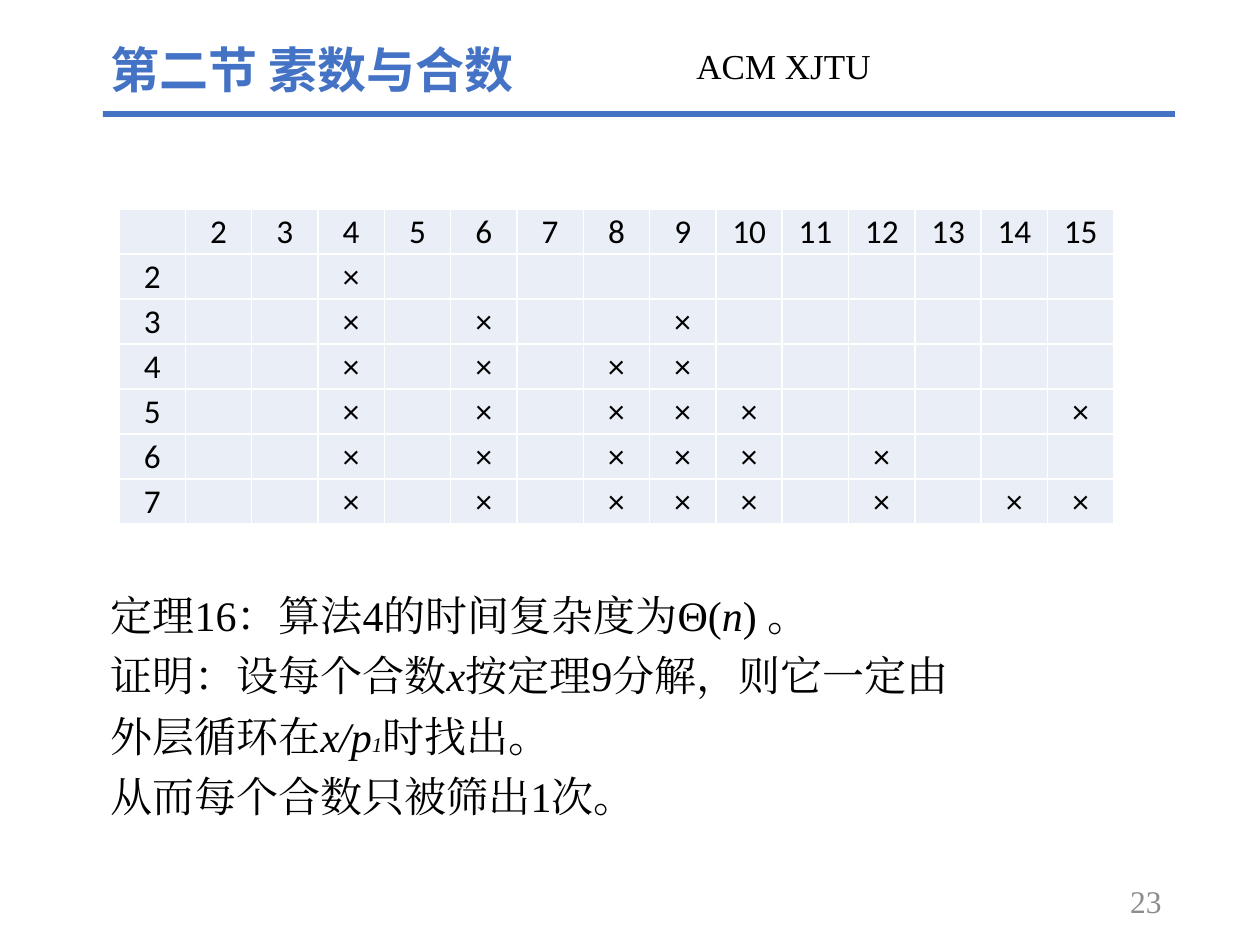
from lxml import etree
from pptx import Presentation
from pptx import util as u
from pptx.dml.color import RGBColor
from pptx.enum import shapes, text
from pptx.oxml.ns import qn

PX = 914400 / 126
BLUE = RGBColor(0x44, 0x72, 0xC4)
BLACK = RGBColor(0, 0, 0)
GRAY = RGBColor(0x8C, 0x8C, 0x8C)
CELL_FILL = RGBColor(0xEA, 0xEF, 0xF7)
SERIF, SANS, CJK = "Times New Roman", "Calibri", "Noto Sans CJK SC"


def px(*lengths):
    return [u.Emu(round(length * PX)) for length in lengths]


class SlideKit:
    def __init__(self, page):
        self.page = page

    def add_spans(self, para, pieces, size, color, font=SERIF, bold=False):
        """Each piece is (words, italic) or (words, italic, own size)."""
        for words, italic, *own_size in pieces:
            span = para.add_run()
            span.text = words
            face = span.font
            face.size = u.Pt(own_size[0] if own_size else size)
            face.name, face.bold, face.italic = font, bold, italic
            face.color.rgb = color
            east_asian = etree.SubElement(face._element, qn("a:ea"))
            east_asian.set("typeface", font)

    def place(self, box, area, anchor):
        box.left, box.top, box.width, box.height = px(*area)
        frame = box.text_frame
        frame.word_wrap = True
        frame.auto_size = text.MSO_AUTO_SIZE.NONE
        frame.vertical_anchor = anchor
        return frame

    def title(self, words, area):
        frame = self.place(self.page.shapes.title, area, text.MSO_ANCHOR.MIDDLE)
        para = frame.paragraphs[0]
        para.alignment = text.PP_ALIGN.LEFT
        self.add_spans(para, [(words, False)], 28, BLUE, CJK, True)

    def body(self, lines, area):
        frame = self.place(self.page.placeholders[1], area, text.MSO_ANCHOR.TOP)
        for index, pieces in enumerate(lines):
            para = frame.add_paragraph() if index else frame.paragraphs[0]
            props = para._p.get_or_add_pPr()
            props.set("marL", "0")
            props.set("indent", "0")
            etree.SubElement(props, qn("a:buNone"))
            para.line_spacing = 1.2
            para.space_before = u.Pt(0)
            self.add_spans(para, pieces, 24, BLACK)

    def label(self, words, area, size, color, align, anchor, spacing=1.0):
        box = self.page.shapes.add_textbox(*px(*area))
        para = self.place(box, area, anchor).paragraphs[0]
        para.alignment = align
        para.line_spacing = spacing
        self.add_spans(para, [(words, False)], size, color)

    def bar(self, area):
        bar = self.page.shapes.add_shape(shapes.MSO_SHAPE.RECTANGLE, *px(*area))
        bar.shadow.inherit = False
        bar.fill.solid()
        bar.fill.fore_color.rgb = BLUE
        bar.line.fill.background()

    def cell(self, cell, words):
        cell.margin_left, cell.margin_right, cell.margin_top = px(1, 1, 1)
        cell.margin_bottom = 0
        cell.vertical_anchor = text.MSO_ANCHOR.MIDDLE
        para = cell.text_frame.paragraphs[0]
        para.alignment = text.PP_ALIGN.CENTER
        if words:
            self.add_spans(para, [(words, False)], 19, BLACK, SANS)
        # White borders go before the fill in the cell properties
        props = cell._tc.get_or_add_tcPr()
        for side in ("lnL", "lnR", "lnT", "lnB"):
            line = etree.SubElement(props, qn("a:" + side), w=str(u.Pt(1)))
            paint = etree.SubElement(line, qn("a:solidFill"))
            etree.SubElement(paint, qn("a:srgbClr"), val="FFFFFF")
        cell.fill.solid()
        cell.fill.fore_color.rgb = CELL_FILL

    def table(self, rows, area):
        count = len(rows[0])
        table = self.page.shapes.add_table(len(rows), count, *px(*area)).table
        table.first_row = table.horz_banding = False
        for column in table.columns:
            column.width = px(area[2] / count)[0]
        for row, values in zip(table.rows, rows):
            row.height = px(area[3] / len(rows))[0]
            for cell, words in zip(row.cells, values):
                self.cell(cell, words)


def main():
    deck = Presentation()
    deck.slide_width, deck.slide_height = u.Inches(10), u.Inches(7.5)
    kit = SlideKit(deck.slides.add_slide(deck.slide_layouts[1]))

    # Header
    kit.bar((103, 111, 1072, 6))
    kit.label("ACM XJTU", (684, 43, 316, 66), 20, BLACK,
              text.PP_ALIGN.LEFT, text.MSO_ANCHOR.TOP, 0.9)
    kit.title("第二节 素数与合数", (98, 33, 551, 72))

    # Sieve table: numbers crossed out after each outer step
    crossed = {
        2: {4},
        3: {4, 6, 9},
        4: {4, 6, 8, 9},
        5: {4, 6, 8, 9, 10, 15},
        6: {4, 6, 8, 9, 10, 12},
        7: {4, 6, 8, 9, 10, 12, 14, 15},
    }
    numbers = range(2, 16)
    rows = [[""] + [str(number) for number in numbers]]
    for step, struck in crossed.items():
        rows.append([str(step)] + ["×" if n in struck else "" for n in numbers])
    kit.table(rows, (119, 209, 995, 315))

    # Theorem and proof
    kit.body([
        [("定理16：算法4的时间复杂度为Θ(", False), ("n", True), (") 。", False)],
        [("证明：设每个合数", False), ("x", True),
         ("按定理9分解，则它一定由", False)],
        [("外层循环在", False), ("x/p", True), ("1", True, 12),
         ("时找出。", False)],
        [("从而每个合数只被筛出1次。", False)],
    ], (98, 573, 1038, 257))

    # Page number
    kit.label("23", (890, 876, 284, 50), 18, GRAY,
              text.PP_ALIGN.RIGHT, text.MSO_ANCHOR.MIDDLE)
    deck.save("out.pptx")


if __name__ == "__main__":
    main()
